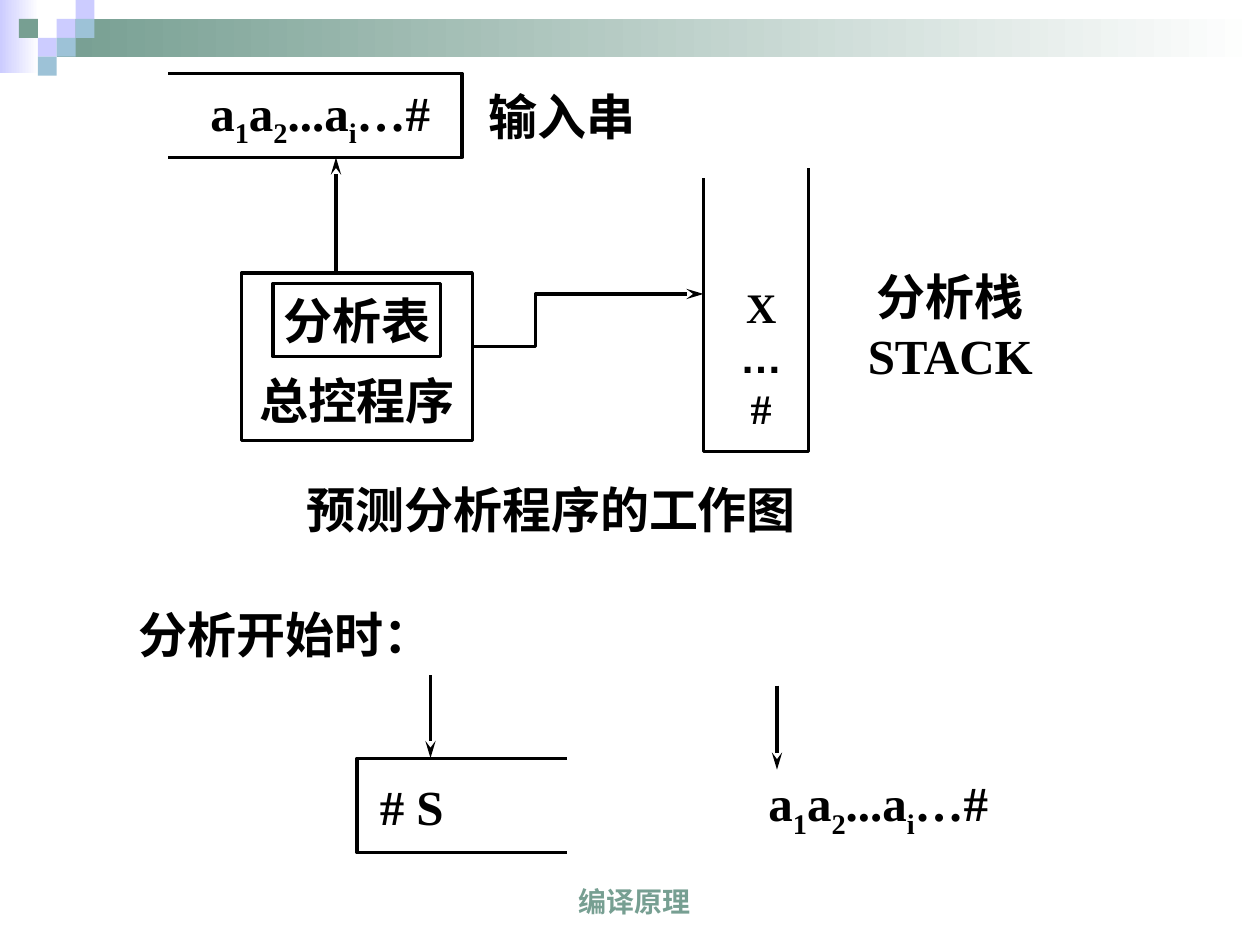
from lxml import etree
from pptx import Presentation
from pptx.dml.color import RGBColor
from pptx.enum.shapes import MSO_CONNECTOR as CONNECTOR, MSO_SHAPE as SHAPE
from pptx.enum.text import MSO_ANCHOR as ANCHOR, PP_ALIGN as ALIGN
from pptx.oxml.ns import qn
from pptx.util import Pt

PX = 7620  # EMU per px, 120 px to the inch
TILE = 18  # side of a header tile in px

BLACK = RGBColor(0x00, 0x00, 0x00)
WHITE = RGBColor(0xFF, 0xFF, 0xFF)
LILAC = RGBColor(0xCC, 0xCC, 0xFF)
GREEN = RGBColor(0x77, 0x9F, 0x92)
BLUE = RGBColor(0x9D, 0xC2, 0xD7)

SERIF, SANS = "Times New Roman", "Arial"
# Runs of the input string; True marks a subscript
INPUT_STRING = [("a", False), ("1", True), ("a", False), ("2", True),
                ("...a", False), ("i", True), ("…#", False)]


def emu(*lengths):
    return [length * PX for length in lengths]


def write(frame, lines, size=28, fonts=(SERIF,), color=BLACK, align=ALIGN.CENTER,
          anchor=ANCHOR.MIDDLE, wrap=False, bottom_margin=6):
    """Each line is a string or a list of (text, is_subscript) runs."""
    frame.word_wrap = wrap
    frame.vertical_anchor = anchor
    frame.margin_bottom = bottom_margin * PX
    for index, line in enumerate(lines):
        para = frame.paragraphs[0] if index == 0 else frame.add_paragraph()
        para.alignment = align
        runs = [(line, False)] if isinstance(line, str) else line
        for text, is_subscript in runs:
            span = para.add_run()
            span.text = text
            span.font.size = Pt(size)
            span.font.bold = True
            span.font.name = fonts[index % len(fonts)]
            span.font.color.rgb = color
            if is_subscript:
                span.font._element.set("baseline", "-25000")


def add_text(page, box, lines, **style):
    write(page.shapes.add_textbox(*emu(*box)).text_frame, lines, **style)


def style_line(shape, arrow=False):
    shape.line.color.rgb = BLACK
    shape.line.width = Pt(1.75)
    if arrow:
        etree.SubElement(shape.line._get_or_add_ln(), qn("a:tailEnd"),
                         type="stealth", len="lg")


def add_frame(page, box, text, **style):
    shape = page.shapes.add_shape(SHAPE.RECTANGLE, *emu(*box))
    shape.shadow.inherit = False
    shape.fill.background()
    style_line(shape)
    write(shape.text_frame, [text], **style)


def add_outline(page, points, arrow=False):
    builder = page.shapes.build_freeform(*points[0], scale=PX)
    builder.add_line_segments(points[1:], close=False)
    shape = builder.convert_to_shape()
    shape.shadow.inherit = False
    shape.fill.background()
    style_line(shape, arrow)


def add_arrow(page, x, start, end):
    arrow = page.shapes.add_connector(CONNECTOR.STRAIGHT, *emu(x, start, x, end))
    style_line(arrow, arrow=True)
    etree.SubElement(arrow._element.spPr, qn("a:effectLst"))


def add_block(page, box, color, fade_to=None):
    shape = page.shapes.add_shape(SHAPE.RECTANGLE, *emu(*box))
    shape.shadow.inherit = False
    shape.line.fill.background()
    if fade_to is None:
        shape.fill.solid()
        shape.fill.fore_color.rgb = color
    else:
        shape.fill.gradient()
        shape.fill.gradient_angle = 0
        for stop, stop_color in zip(shape.fill.gradient_stops, (color, fade_to)):
            stop.color.rgb = stop_color


def draw_header(page, width):
    add_block(page, (0, 0, 37, 70), LILAC, fade_to=WHITE)
    add_block(page, (3 * TILE, TILE, width - 3 * TILE, 2 * TILE), GREEN, fade_to=WHITE)
    tiles = [(3, 1, LILAC), (4, 0, LILAC), (4, 1, BLUE), (2, 2, LILAC),
             (1, 1, GREEN), (3, 2, BLUE), (2, 3, BLUE)]
    for column, row, color in tiles:
        add_block(page, (column * TILE, row * TILE, TILE, TILE), color)


def draw_work_diagram(page, left, top):
    def box(x, y, width, height):
        return left + x, top + y, width, height

    def points(*pairs):
        return [(left + x, top + y) for x, y in pairs]

    # Control program and its table
    add_frame(page, box(70, 190, 220, 160), "总控程序", anchor=ANCHOR.BOTTOM,
              bottom_margin=11)
    add_frame(page, box(100, 200, 160, 70), "分析表")
    # Stack
    add_outline(page, points((510, 100), (510, 360), (610, 360), (610, 90)))
    add_text(page, box(530, 190, 70, 160), ["X", "…", "#"], size=24,
             fonts=(SERIF, SANS, SERIF))
    add_text(page, box(620, 210, 250, 60), ["分析栈", "STACK"])
    # Input tape
    add_outline(page, points((0, 0), (280, 0), (280, 80), (0, 80)))
    add_text(page, box(20, 10, 250, 60), [INPUT_STRING])
    add_text(page, box(250, 10, 250, 60), ["输入串"])
    # Arrows to tape and stack
    add_arrow(page, left + 160, top + 190, top + 80)
    add_outline(page, points((290, 260), (350, 260), (350, 210), (510, 210)), arrow=True)
    # Caption
    add_text(page, box(100, 380, 530, 70), ["预测分析程序的工作图"])


def draw_start_state(page, left, top):
    add_text(page, (left, top, 304, 68), ["分析开始时："],
             align=ALIGN.LEFT, anchor=ANCHOR.TOP)
    # Stack lying on its side
    bracket = [(420, 152), (220, 152), (220, 242), (420, 242)]
    add_outline(page, [(left + x, top + y) for x, y in bracket])
    # Contents of stack and input
    for x, width, line in ((230, 170, "# S"), (600, 260, INPUT_STRING)):
        add_text(page, (left + x, top + 163, width, 70), [line], align=ALIGN.LEFT)
    # Pointers to stack top and first symbol
    add_arrow(page, left + 290, top + 73, top + 152)
    add_arrow(page, left + 620, top + 83, top + 163)


def draw_footer(page, box):
    add_text(page, box, ["编译原理"], size=16, fonts=(SANS,), color=GREEN,
             anchor=ANCHOR.BOTTOM, wrap=True)


def main():
    deck = Presentation()
    deck.slide_width, deck.slide_height = emu(1200, 900)
    page = deck.slides.add_slide(deck.slide_layouts[6])
    draw_header(page, 1200)
    draw_footer(page, (373, 820, 463, 60))
    draw_work_diagram(page, 160, 70)
    draw_start_state(page, 120, 570)
    deck.save("out.pptx")


if __name__ == "__main__":
    main()
